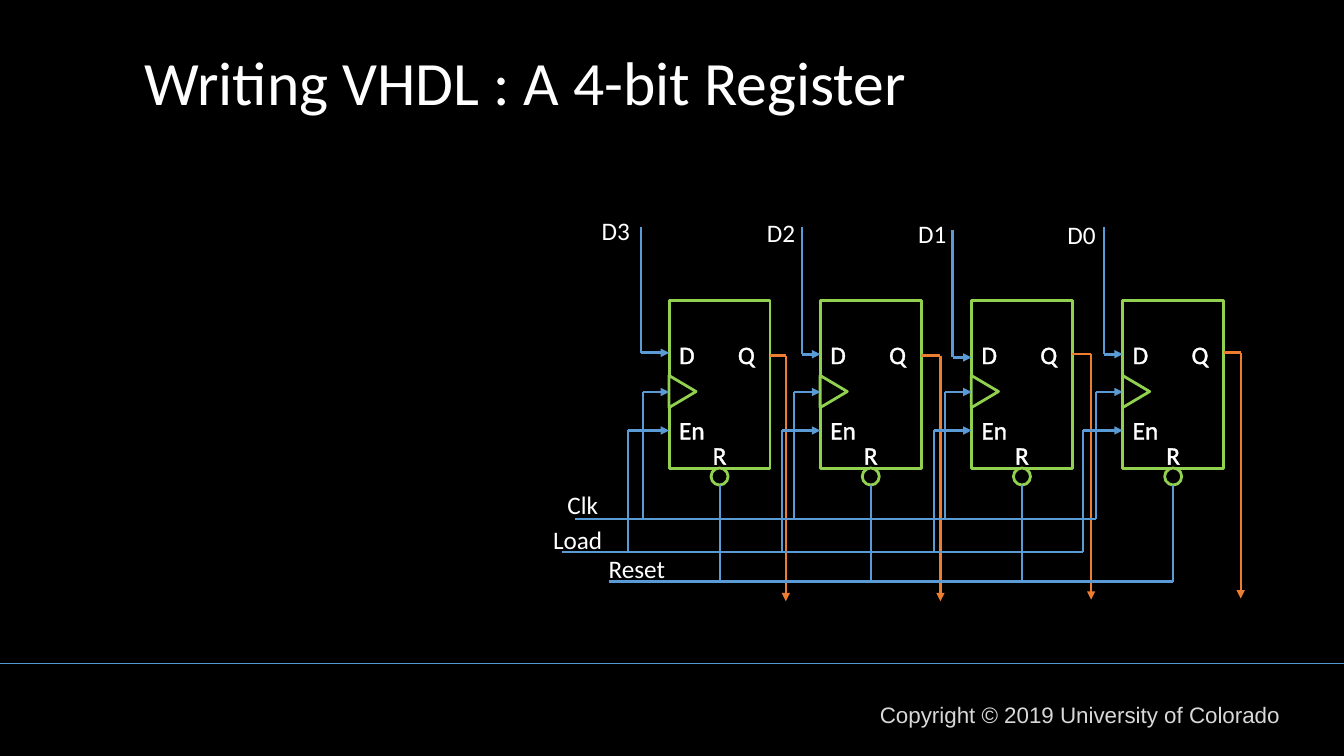
from dataclasses import dataclass

from pptx import Presentation
from pptx.dml.color import RGBColor
from pptx.enum.shapes import MSO_CONNECTOR, MSO_SHAPE
from pptx.enum.text import MSO_ANCHOR, MSO_AUTO_SIZE
from pptx.oxml import parse_xml
from pptx.oxml.ns import nsdecls
from pptx.util import Pt

BOX = MSO_SHAPE.RECTANGLE
WEDGE = MSO_SHAPE.ISOSCELES_TRIANGLE
RING = MSO_SHAPE.FLOWCHART_CONNECTOR
LINE = MSO_CONNECTOR.STRAIGHT
MIDDLE = MSO_ANCHOR.MIDDLE
GROW = MSO_AUTO_SIZE.SHAPE_TO_FIT_TEXT


@dataclass(frozen=True)
class Theme:
    back: str = "000000"
    text: str = "FFFFFF"
    foot: str = "D8D8D8"
    rule: str = "5698D3"
    wire: str = "5B9BD5"
    out: str = "ED7D31"
    gate: str = "92D050"
    sans: str = "Calibri"
    plain: str = "Arial"
    title: int = 44
    label: int = 18
    note: int = 16
    thin: float = 1
    mid: float = 1.5
    bold: float = 2


@dataclass(frozen=True)
class Stage:
    name: str
    tag_x: float
    tag_y: float
    drop_x: float
    drop_y: float
    data_y: float
    load_x: float
    out_x: float
    out_y: float


THEME = Theme()
LEFT, STEP, TOP = 478, 108, 214.5
WIDE, HIGH = 72, 120
CLK_Y, LOAD_Y, RESET_Y = 370.8, 394.6, 415.4
EDGE_Y, GATE_Y = 280, 307.5
CLK_DX, RING_DY, RING_D = -18.8, 119.8, 12.2
FALL = 175.5
STAGES = (
    Stage("D3", 422.6, 150.5, 458, 162, 252, 448.3, 561.3, 254),
    Stage("D2", 540.7, 152, 572.6, 162, 253, 558.6, 671.8, 254),
    Stage("D1", 648.7, 152.6, 680.4, 164, 255.3, 667.4, 779.4, 252.8),
    Stage("D0", 755.3, 153.4, 788.6, 162, 253, 773.7, 886.2, 252),
)
PINS = (
    ("D", 0, 24, 26),
    ("Q", 42, 24, 26),
    ("En", 0, 77.8, 33),
    ("R", 24, 95.8, 26),
)


def tint(code):
    return RGBColor.from_string(code)


def apply(item, form):
    for key, value in form.items():
        setattr(item, key, value)


def add_text(slide, words, spot, frame=None, font=None, ring=False):
    box = slide.shapes.add_textbox(*map(Pt, spot))
    apply(box.text_frame, {"word_wrap": False, **(frame or {})})
    para = box.text_frame.paragraphs[0]
    run = para.add_run()
    run.text = words
    apply(run.font, {"name": THEME.sans, "size": Pt(THEME.label), **(font or {})})
    if not font or "color" not in font:
        run.font.color.rgb = tint(THEME.text)
    if ring:
        run._r.get_or_add_rPr().insert(0, parse_xml(
            f'<a:ln {nsdecls("a")} w="6350"><a:solidFill>'
            f'<a:srgbClr val="{THEME.text}"/></a:solidFill></a:ln>'))
    return para


def add_part(slide, kind, spot, turn=0):
    part = slide.shapes.add_shape(kind, *map(Pt, spot))
    part.shadow.inherit = False
    part.rotation = turn
    part.fill.solid()
    part.fill.fore_color.rgb = tint(THEME.back)
    part.line.color.rgb = tint(THEME.gate)
    part.line.width = Pt(THEME.bold)


def add_wire(slide, start, end, color=THEME.wire, width=THEME.mid, arrow=False):
    wire = slide.shapes.add_connector(LINE, *map(Pt, (*start, *end)))
    wire.line.color.rgb = tint(color)
    wire.line.width = Pt(width)
    if arrow:
        wire.get_or_add_ln().append(
            parse_xml(f'<a:tailEnd {nsdecls("a")} type="triangle"/>'))
    wire._element.spPr.append(parse_xml(f'<a:effectLst {nsdecls("a")}/>'))


def add_cell(slide, left):
    add_part(slide, BOX, (left, TOP, WIDE, HIGH))
    add_part(slide, WEDGE, (left - 2, TOP + 55.5, 23, 19.4), 90)
    for name, dx, dy, wide in PINS:
        add_text(slide, name, (left + dx, TOP + dy, wide, 29),
                 {"auto_size": GROW}, ring=True)
    add_part(slide, RING, (left + (WIDE - RING_D) / 2, TOP + RING_DY, RING_D, RING_D))


def add_feed(slide, x, start, turn, end):
    add_wire(slide, (x, start), (x, turn))
    add_wire(slide, (x, turn), (end, turn), width=THEME.bold, arrow=True)


def add_stage(slide, left, stage):
    add_cell(slide, left)
    add_feed(slide, left + CLK_DX, CLK_Y, EDGE_Y, left)
    add_feed(slide, stage.load_x, LOAD_Y, GATE_Y, left)
    add_feed(slide, stage.drop_x, stage.drop_y, stage.data_y, left)
    mid = left + WIDE / 2
    add_wire(slide, (mid, TOP + RING_DY + RING_D), (mid, RESET_Y))
    add_wire(slide, (left + WIDE, stage.out_y), (stage.out_x, stage.out_y),
             THEME.out, THEME.bold)
    add_wire(slide, (stage.out_x, stage.out_y), (stage.out_x, stage.out_y + FALL),
             THEME.out, arrow=True)
    add_text(slide, stage.name, (stage.tag_x, stage.tag_y, 35.3, 29),
             {"auto_size": GROW})


def add_bus(slide, name, spot, start, end, y):
    add_wire(slide, (start, y), (end, y))
    add_text(slide, name, spot, {"auto_size": GROW})


def main():
    deck = Presentation()
    apply(deck, {"slide_width": Pt(960), "slide_height": Pt(540)})
    slide = deck.slides.add_slide(deck.slide_layouts[6])
    slide.background.fill.solid()
    slide.background.fill.fore_color.rgb = tint(THEME.back)

    add_wire(slide, (0, 474), (960, 474), THEME.rule, THEME.thin)
    foot = add_text(slide, "Copyright © 2019 University of Colorado",
                    (621.4, 497.5, 338.4, 26.6), {"word_wrap": True},
                    {"name": THEME.plain, "size": Pt(THEME.note)})
    foot.runs[0].font.color.rgb = tint(THEME.foot)
    title = add_text(slide, "Writing VHDL : A 4-bit Register",
                     (66, 28.8, 828, 64.8),
                     {"word_wrap": True, "vertical_anchor": MIDDLE,
                      "margin_left": Pt(37)},
                     {"size": Pt(THEME.title)})
    title.line_spacing = 0.9

    for index, stage in enumerate(STAGES):
        add_stage(slide, LEFT + index * STEP, stage)

    last = LEFT + (len(STAGES) - 1) * STEP
    add_bus(slide, "Clk", (398.2, 345.6, 36.7, 29), 410.4, last + CLK_DX, CLK_Y)
    add_bus(slide, "Load", (388, 370.8, 50.4, 29), 401.8, STAGES[-1].load_x, LOAD_Y)
    add_bus(slide, "Reset", (427.7, 391.7, 55.4, 29), 434.9, last + WIDE / 2, RESET_Y)
    deck.save("out.pptx")


if __name__ == "__main__":
    main()
